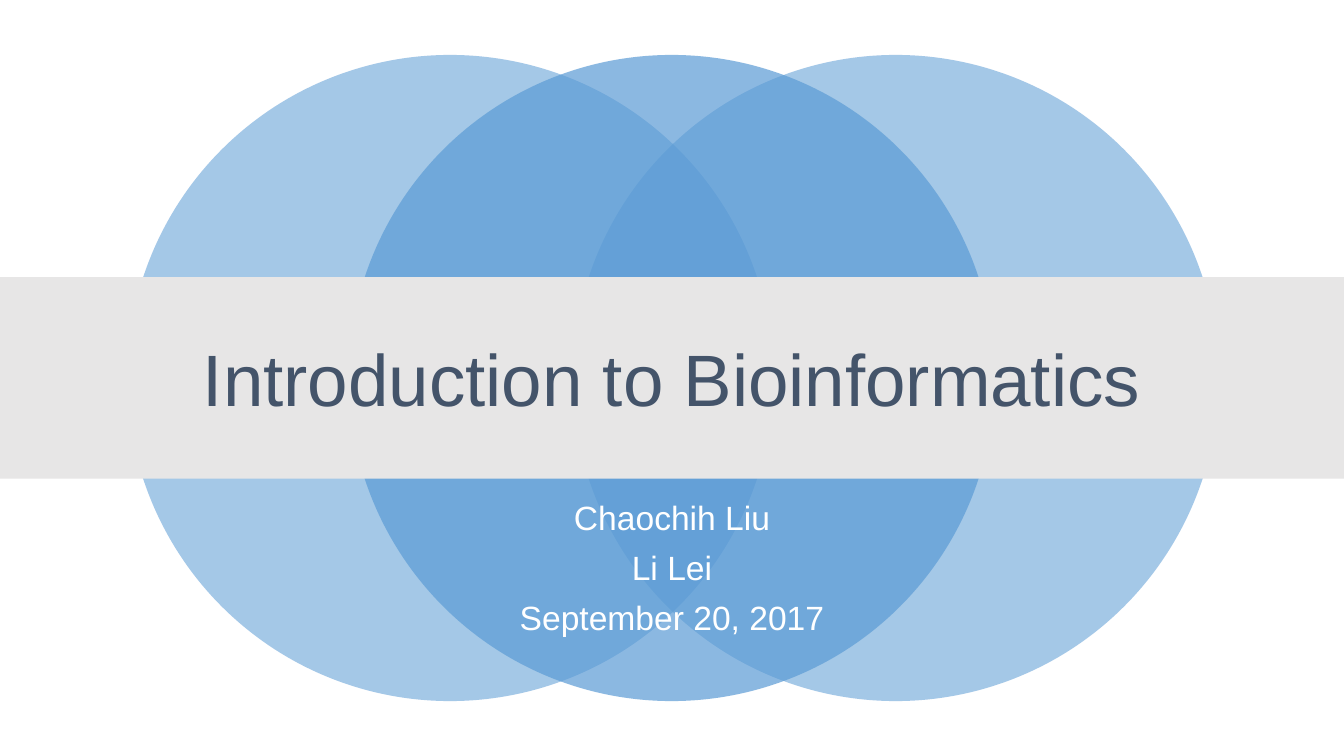
from lxml import etree
from pptx import Presentation
from pptx.dml.color import RGBColor
from pptx.enum import shapes, text
from pptx.oxml import ns
from pptx.util import Pt

TITLE = ["Introduction to Bioinformatics"]
SUBTITLE = ["Chaochih Liu", "Li Lei", "September 20, 2017"]
# Left edge and opacity in percent, from back to front
CIRCLES = [(90.75, 55), (409, 55), (249, 70)]

THEME = {
    "font": "Arial",
    "background": "FFFFFF",
    "circle": "5B9BD5",
    "band": "E7E6E6",
    "title": "44546A",
    "subtitle": "FFFFFF",
    "title_size": 52,
    "subtitle_size": 24,
}

WIDTH, HEIGHT = 960, 540
DIAMETER = 461.5
BAND_TOP, BAND_HEIGHT = 198, 144
TEXT_WIDTH = 720
TEXT_LEFT = (WIDTH - TEXT_WIDTH) / 2


def colour(name):
    return RGBColor.from_string(THEME[name])


def place(shape, left, top, width, height):
    shape.left, shape.top = Pt(left), Pt(top)
    shape.width, shape.height = Pt(width), Pt(height)


def add_filled(parent, kind, bounds, fill, opacity=100):
    """Add a borderless preset shape, with opacity in percent."""
    shape = parent.add_shape(kind, *(Pt(length) for length in bounds))
    shape.shadow.inherit = False
    shape.line.fill.background()
    shape.fill.solid()
    shape.fill.fore_color.rgb = colour(fill)
    if opacity < 100:
        tone = shape._element.spPr.find(".//" + ns.qn("a:srgbClr"))
        etree.SubElement(tone, ns.qn("a:alpha"), val=str(opacity * 1000))


def write(box, lines, *, size, fill, anchor, gap=0):
    frame = box.text_frame
    frame.word_wrap = True
    frame.auto_size = text.MSO_AUTO_SIZE.NONE
    frame.vertical_anchor = anchor
    frame.text = "\n".join(lines)
    for index, para in enumerate(frame.paragraphs):
        para.alignment = text.PP_ALIGN.CENTER
        para.line_spacing = 0.9
        para.space_before = Pt(gap if index else 0)
        for span in para.runs:
            span.font.name = THEME["font"]
            span.font.size = Pt(THEME[size])
            span.font.bold = False
            span.font.color.rgb = colour(fill)


def main():
    deck = Presentation()
    deck.slide_width, deck.slide_height = Pt(WIDTH), Pt(HEIGHT)
    page = deck.slides.add_slide(deck.slide_layouts[0])
    page.background.fill.solid()
    page.background.fill.fore_color.rgb = colour("background")
    title, subtitle = page.placeholders

    circles = page.shapes.add_group_shape()
    top = (HEIGHT - DIAMETER) / 2
    for left, opacity in CIRCLES:
        add_filled(circles.shapes, shapes.MSO_SHAPE.OVAL,
                   (left, top, DIAMETER, DIAMETER), "circle", opacity)
    add_filled(page.shapes, shapes.MSO_SHAPE.RECTANGLE,
               (0, BAND_TOP, WIDTH, BAND_HEIGHT), "band")

    place(title, TEXT_LEFT, 219, TEXT_WIDTH, 108.5)
    write(title, TITLE, size="title_size", fill="title",
          anchor=text.MSO_ANCHOR.MIDDLE)
    place(subtitle, TEXT_LEFT, 354.5, TEXT_WIDTH, 113)
    write(subtitle, SUBTITLE, size="subtitle_size", fill="subtitle",
          anchor=text.MSO_ANCHOR.TOP, gap=10)
    # Bring the text in front of the circles and the band
    for box in (title, subtitle):
        page.shapes._spTree.append(box._element)

    deck.save("out.pptx")


if __name__ == "__main__":
    main()
